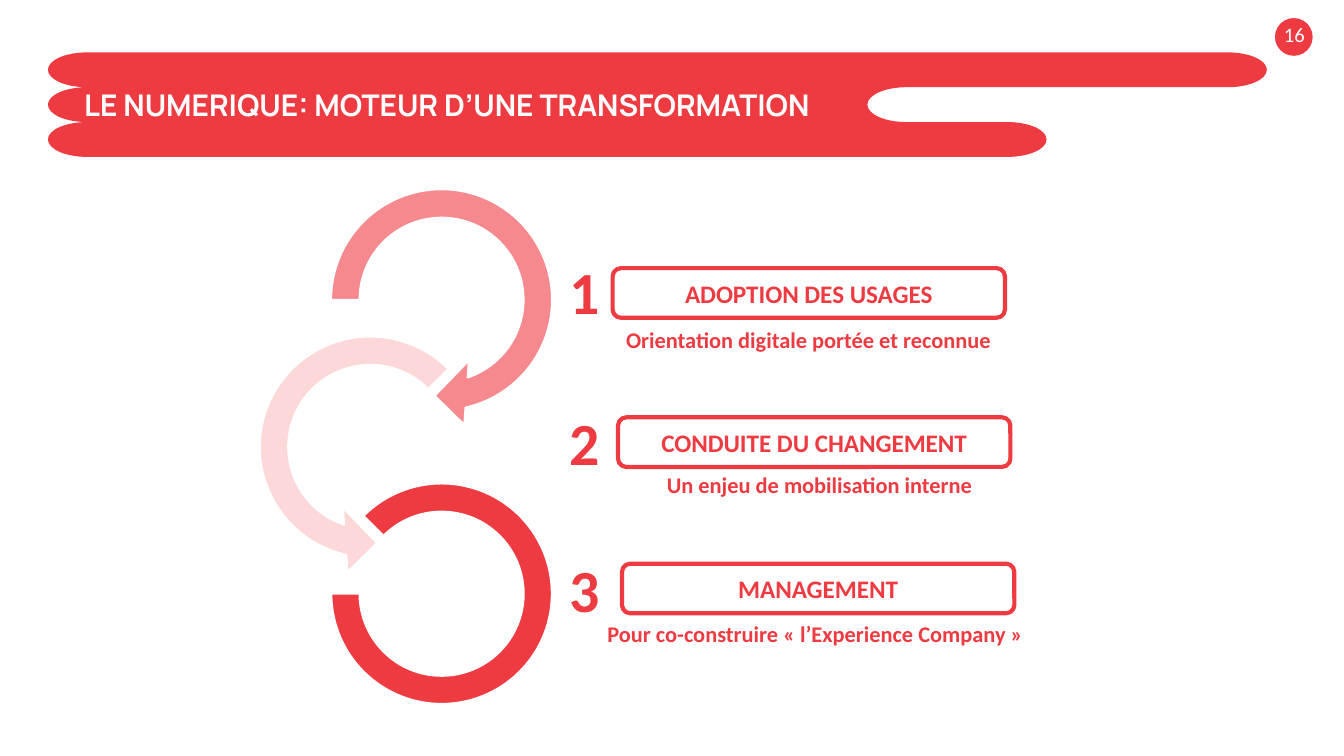
import math
from dataclasses import dataclass

from lxml import etree
from pptx import Presentation
from pptx import util as u
from pptx.dml.color import RGBColor
from pptx.enum import shapes, text
from pptx.oxml.ns import qn

Pt = u.Pt
SHAPE = shapes.MSO_SHAPE
ALIGN = text.PP_ALIGN
ANCHOR = text.MSO_ANCHOR


@dataclass(frozen=True)
class Theme:
    red: str = "EE3B42"
    rose: str = "F5898E"
    pale: str = "FCD8D9"
    white: str = "FFFFFF"
    body: str = "Calibri"
    head: str = "Manrope"
    page: float = 11
    title: float = 16
    digit: float = 32
    label: float = 13.5
    note: float = 12


THEME = Theme()


def rgb(code):
    return RGBColor.from_string(code)


def paint(shape, fill, line=None, width=1):
    """Set fill and outline, without shadow."""
    shape.shadow.inherit = False
    shape.fill.solid()
    shape.fill.fore_color.rgb = rgb(fill)
    if line:
        shape.line.color.rgb = rgb(line)
        shape.line.width = Pt(width)
    else:
        shape.line.fill.background()


def write(shape, words, size, color, font=THEME.body, bold=True,
          align=ALIGN.CENTER, anchor=ANCHOR.TOP, wrap=True, space=1):
    """Put one formatted paragraph in a shape."""
    frame = shape.text_frame
    frame.text = words
    frame.auto_size = text.MSO_AUTO_SIZE.NONE
    frame.word_wrap = wrap
    frame.vertical_anchor = anchor
    para = frame.paragraphs[0]
    para.alignment = align
    para.line_spacing = space
    para.space_before = Pt(0)
    for run in para.runs:
        run.font.name = font
        run.font.size = Pt(size)
        run.font.bold = bold
        run.font.color.rgb = rgb(color)


def add_shape(slide, kind, box):
    return slide.shapes.add_shape(kind, *map(Pt, box))


def add_text(slide, box, words, size, color, **style):
    item = slide.shapes.add_textbox(*map(Pt, box))
    write(item, words, size, color, **style)


def add_badge(slide, box):
    """Page number in a disc."""
    left, top, width, height = box
    disc = add_shape(slide, SHAPE.OVAL, box)
    paint(disc, THEME.red)
    add_text(slide, (left - 11.2, top - 2.2, width + 23, height + 1.6), "16",
             THEME.page, THEME.white, bold=False, anchor=ANCHOR.MIDDLE)


def curve(lines):
    """Turn three line ends into the points of one cubic curve."""
    bend = etree.Element(qn("a:cubicBezTo"))
    lines[0].addprevious(bend)
    for line in lines:
        bend.append(line[0])
        line.getparent().remove(line)


def add_banner(slide, box):
    """Three joined bars with rounded ends, and the title on them."""
    left, top, width, height = box
    bar, reach = height / 3, 21
    first, last = left + reach, left + width - reach
    pull = 4 / 3 * (math.sqrt(2) - 1)
    half = [(0, -1), (pull, -1), (1, -pull), (1, 0),
            (1, pull), (pull, 1), (0, 1)]
    # Each turn: x of the end, bar row, side it bulges to, way it runs
    turns = [(last, 0, 1, 1), (left + 460, 1, -1, 1), (left + 514, 2, 1, 1)]
    turns += [(first, row, -1, -1) for row in (2, 1, 0)]
    points = [(Pt(x + side * reach * dx),
               Pt(top + (row + 0.5 + way * dy / 2) * bar))
              for x, row, side, way in turns for dx, dy in half]
    pen = slide.shapes.build_freeform(*points[0])
    pen.add_line_segments(points[1:], close=True)
    band = pen.convert_to_shape()
    steps = list(next(band.element.iter(qn("a:path"))))
    for start in range(0, len(points), len(half)):
        curve(steps[start + 1:start + 4])
        curve(steps[start + 4:start + 7])
    paint(band, THEME.red)

    title = slide.shapes.title
    title.element.addprevious(band.element)
    title.left, title.top = Pt(left + 19.4), Pt(top + 17)
    title.width, title.height = Pt(423.4), Pt(44)
    write(title, "LE NUMERIQUE: MOTEUR D’UNE TRANSFORMATION", THEME.title,
          THEME.white, font=THEME.head, align=ALIGN.LEFT, space=0.9)
    frame = title.text_frame
    frame.margin_left = 0
    frame.margin_right = Pt(7.2)
    frame.margin_top = frame.margin_bottom = Pt(3.6)


def add_rings(slide, box):
    """Chain of two arrows and an open ring."""
    left, top = box[:2]
    size, ring = 137.5, 118
    parts = [
        (SHAPE.CIRCULAR_ARROW, (38.2, 0, size, size), THEME.rose,
         (0.11, 11.423, 45, 108, 0.125)),
        (SHAPE.LEFT_CIRCULAR_ARROW, (0, 78.9, size, size), THEME.pale,
         (0.11, 11.423, 63, 189, 0.125)),
        (SHAPE.BLOCK_ARC, (48, 167.3, ring, ring), THEME.red,
         (135, 108, 0.127)),
    ]
    for kind, (x, y, width, height), color, values in parts:
        part = add_shape(slide, kind, (left + x, top + y, width, height))
        for index, value in enumerate(values):
            part.adjustments[index] = value
        paint(part, color, THEME.white)


def add_step(slide, box, digit, label, note, shift, place, **style):
    """Digit, framed label and a note below it."""
    left, top, width, height = box
    add_text(slide, (left, top, 31, 46), digit, THEME.digit, THEME.red,
             align=ALIGN.LEFT)
    frame = add_shape(slide, SHAPE.ROUNDED_RECTANGLE,
                      (left + shift[0], top + shift[1], width, height))
    paint(frame, THEME.white, THEME.red, 2.25)
    write(frame, label, THEME.label, THEME.red, anchor=ANCHOR.MIDDLE)
    x, y, span = place
    add_text(slide, (left + x, top + y, span, 20), note, THEME.note,
             THEME.red, wrap=False, **style)


def main():
    deck = Presentation()
    deck.slide_width, deck.slide_height = Pt(720), Pt(405)
    slide = deck.slides.add_slide(deck.slide_layouts[5])

    add_badge(slide, (683, 9.7, 20.2, 20.2))
    add_banner(slide, (25.7, 28.1, 653, 56))
    add_rings(slide, (129.6, 91.8))

    # Top, words, offset of the frame, place of the note, note style
    steps = [
        (132.7, "ADOPTION DES USAGES",
         "Orientation digitale portée et reconnue",
         (30.1, 11), (28.9, 40.1, 212.4),
         dict(space=0.9)),
        (213.9, "CONDUITE DU CHANGEMENT",
         "Un enjeu de mobilisation interne",
         (33, 9.7), (50.6, 36.7, 180.7),
         dict(space=0.9)),
        (292.7, "MANAGEMENT",
         "Pour co-construire «\u00a0l’Experience Company\u00a0»",
         (35.1, 9.3), (20.2, 35.9, 240.5),
         dict(align=ALIGN.LEFT)),
    ]
    for count, (top, label, note, shift, place, style) in enumerate(steps, 1):
        add_step(slide, (298.1, top, 210.2, 26.6), str(count), label, note,
                 shift, place, **style)

    deck.save("out.pptx")


if __name__ == "__main__":
    main()
